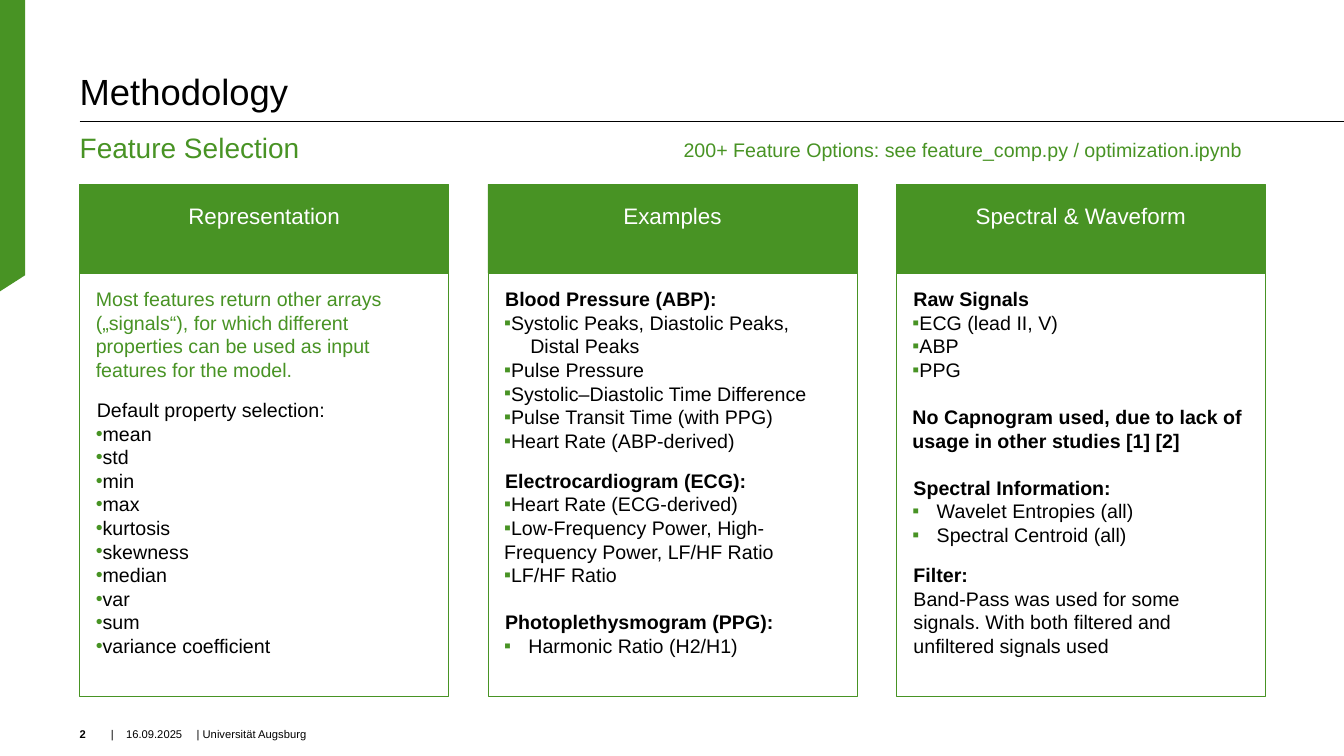
"""Build the methodology slide on feature selection."""
from lxml import etree
from pptx import Presentation
from pptx.dml.color import RGBColor
from pptx.enum.shapes import MSO_CONNECTOR, MSO_SHAPE
from pptx.enum.text import MSO_ANCHOR, MSO_AUTO_SIZE, PP_ALIGN
from pptx.oxml.ns import qn
from pptx.util import Inches, Pt

GREEN = RGBColor(0x48, 0x93, 0x24)
BLACK = RGBColor(0, 0, 0)
WHITE = RGBColor(255, 255, 255)
TOP, MIDDLE, BOTTOM = MSO_ANCHOR.TOP, MSO_ANCHOR.MIDDLE, MSO_ANCHOR.BOTTOM
LEFT, CENTER = PP_ALIGN.LEFT, PP_ALIGN.CENTER
RECTANGLE, STRAIGHT = MSO_SHAPE.RECTANGLE, MSO_CONNECTOR.STRAIGHT
NO_FIT = MSO_AUTO_SIZE.NONE

TITLE = "Methodology"
SUBTITLE = "Feature Selection"
HINT = "200+ Feature Options: see feature_comp.py / optimization.ipynb"
COLUMNS = [
    ("Representation", [
        ("intro", 0, ["Most features return other arrays („signals“), for which different "
                      "properties can be used as input features for the model."]),
        ("plain", 12, ["Default property selection:"]),
        ("dot", 0, ["mean", "std", "min", "max", "kurtosis", "skewness", "median", "var",
                    "sum", "variance coefficient"]),
    ]),
    ("Examples", [
        ("head", 0, ["Blood Pressure (ABP):"]),
        ("square", 0, ["Systolic Peaks, Diastolic Peaks,"]),
        ("continued", 0, ["Distal Peaks"]),
        ("square", 0, ["Pulse Pressure", "Systolic–Diastolic Time Difference",
                       "Pulse Transit Time (with PPG)", "Heart Rate (ABP-derived)"]),
        ("head", 12, ["Electrocardiogram (ECG):"]),
        ("square", 0, ["Heart Rate (ECG-derived)",
                       "Low-Frequency Power, High-Frequency Power, LF/HF Ratio",
                       "LF/HF Ratio"]),
        ("head", 16.8, ["Photoplethysmogram (PPG):"]),
        ("hanging", 0, ["Harmonic Ratio (H2/H1)"]),
    ]),
    ("Spectral & Waveform", [
        ("head", 0, ["Raw Signals"]),
        ("square", 0, ["ECG (lead II, V)", "ABP", "PPG"]),
        ("notice", 16.8, ["No Capnogram used, due to lack of usage in other studies [1] [2]"]),
        ("head", 16.8, ["Spectral Information:"]),
        ("hanging", 0, ["Wavelet Entropies (all)", "Spectral Centroid (all)"]),
        ("head", 12, ["Filter:"]),
        ("plain", 0, ["Band-Pass was used for some signals. With both filtered and "
                      "unfiltered signals used"]),
    ]),
]
STYLES = {
    "intro": (None, 0, 0, GREEN, False),
    "plain": (None, 0.01, 0, BLACK, False),
    "head": (None, 0.01, 0, BLACK, True),
    "notice": (None, 0, 0, BLACK, True),
    "continued": (None, 0.26, 0, BLACK, False),
    "dot": ("•", 0, 0, BLACK, False),
    "square": ("▪", 0, 0, BLACK, False),
    "hanging": ("▪", 0.24, -0.24, BLACK, False),
}
FOOTER = [(0.79, 0.3, "2", True), (1.1, 0.12, "|", False),
          (1.25, 0.68, "16.09.2025", False), (1.95, 7.98, "| Universität Augsburg", False)]

WIDTH, HEIGHT = 13.33, 7.5
MARGIN, CONTENT_WIDTH = 0.79, 11.76
COLUMN_WIDTH, COLUMN_STEP = 3.66, 4.05
HEADER_TOP, HEADER_HEIGHT = 1.83, 0.88
LIST_TOP, LIST_HEIGHT = 2.42, 4.49
HINT_LEFT, HINT_TOP = 6.78, 1.37
SUBTITLE_TOP, SUBTITLE_HEIGHT = 1.29, 0.4
FOOTER_TOP, FOOTER_HEIGHT = 7.11, 0.24
LINE_FACTOR = 1.2


def place(box, left, top, width, height):
    box.left, box.top, box.width, box.height = map(Inches, (left, top, width, height))


def set_frame(box, anchor, insets=(0, 0, 0, 0)):
    frame = box.text_frame
    frame.word_wrap = True
    frame.auto_size = NO_FIT
    frame.vertical_anchor = anchor
    (frame.margin_left, frame.margin_top,
     frame.margin_right, frame.margin_bottom) = map(Inches, insets)
    return frame


def set_font(font, size, color, bold=False):
    font.name, font.size, font.bold = "Arial", Pt(size), bold
    font.color.rgb = color


def set_list_marks(para, bullet=None, margin=0, indent=0):
    props = para._p.get_or_add_pPr()
    props.set("marL", str(Inches(margin)))
    props.set("indent", str(Inches(indent)))
    if bullet:
        color = etree.SubElement(props, qn("a:buClr"))
        etree.SubElement(color, qn("a:srgbClr"), val=str(GREEN))
        etree.SubElement(props, qn("a:buFont"), typeface="Arial")
        etree.SubElement(props, qn("a:buChar"), char=bullet)
    else:
        etree.SubElement(props, qn("a:buNone"))


def format_para(para, size, color, bold=False, gap=0, align=LEFT):
    para.alignment = align
    para.space_before, para.space_after = Pt(gap), Pt(0)
    para.line_spacing = Pt(size * LINE_FACTOR)
    set_font(para.font, size, color, bold)


def add_label(page, left, top, width, height, anchor, text, size, color, bold=False):
    box = page.shapes.add_textbox(*map(Inches, (left, top, width, height)))
    para = set_frame(box, anchor).paragraphs[0]
    para.text = text
    format_para(para, size, color, bold)


def add_band_and_rule(page):
    outline = [(0.25, 0), (0.25, 2.73), (0, 2.89)]
    builder = page.shapes.build_freeform(0, 0)
    builder.add_line_segments([(Inches(x), Inches(y)) for x, y in outline])
    band = builder.convert_to_shape()
    band.shadow.inherit = False
    band.fill.solid()
    band.fill.fore_color.rgb = GREEN
    band.line.fill.background()
    rule = page.shapes.add_connector(
        STRAIGHT, *map(Inches, (MARGIN, 1.2, WIDTH, 1.2)))
    rule.line.color.rgb = BLACK
    rule.line.width = Pt(0.5)
    etree.SubElement(rule._element.spPr, qn("a:effectLst"))


def fill_titles(title, subtitle):
    place(title, MARGIN, 0, CONTENT_WIDTH, 1.12)
    para = set_frame(title, BOTTOM).paragraphs[0]
    para.text = TITLE
    para.alignment = LEFT
    para.line_spacing = 0.9
    set_font(para.font, 26, BLACK)
    place(subtitle, MARGIN, SUBTITLE_TOP, HINT_LEFT - MARGIN, SUBTITLE_HEIGHT)
    para = set_frame(subtitle, TOP).paragraphs[0]
    para.text = SUBTITLE
    set_list_marks(para)
    format_para(para, 20, GREEN)


def fill_list(box, left, groups):
    place(box, left, LIST_TOP, COLUMN_WIDTH, LIST_HEIGHT)
    box.line.color.rgb = GREEN
    box.line.width = Pt(0.5)
    frame = set_frame(box, TOP, (0.16, 0.43, 0.16, 0.16))
    entries = [(kind, gap, text) for kind, gap, texts in groups for text in texts]
    for number, (kind, gap, text) in enumerate(entries):
        para = frame.add_paragraph() if number else frame.paragraphs[0]
        bullet, margin, indent, color, bold = STYLES[kind]
        para.text = text
        set_list_marks(para, bullet, margin, indent)
        format_para(para, 14, color, bold, gap)


def add_header(page, left, text):
    header = page.shapes.add_shape(
        RECTANGLE, *map(Inches, (left, HEADER_TOP, COLUMN_WIDTH, HEADER_HEIGHT)))
    header.shadow.inherit = False
    header.fill.solid()
    header.fill.fore_color.rgb = GREEN
    header.line.color.rgb = GREEN
    header.line.width = Pt(0.5)
    para = set_frame(header, MIDDLE, (0.04, 0, 0.04, 0.26)).paragraphs[0]
    para.text = text
    format_para(para, 16, WHITE, align=CENTER)


def main():
    deck = Presentation()
    deck.slide_width, deck.slide_height = Inches(WIDTH), Inches(HEIGHT)
    page = deck.slides.add_slide(deck.slide_layouts.get_by_name("Comparison"))
    title, subtitle, *lists = page.placeholders
    add_band_and_rule(page)
    fill_titles(title, subtitle)
    add_label(page, HINT_LEFT, HINT_TOP, MARGIN + CONTENT_WIDTH - HINT_LEFT, 0.3,
              TOP, HINT, 14, GREEN)
    for number, (box, (heading, groups)) in enumerate(zip(lists, COLUMNS)):
        left = MARGIN + number * COLUMN_STEP
        fill_list(box, left, groups)
        add_header(page, left, heading)
    for left, width, text, bold in FOOTER:
        add_label(page, left, FOOTER_TOP, width, FOOTER_HEIGHT, BOTTOM, text, 8, BLACK, bold)
    deck.save("out.pptx")


if __name__ == "__main__":
    main()
